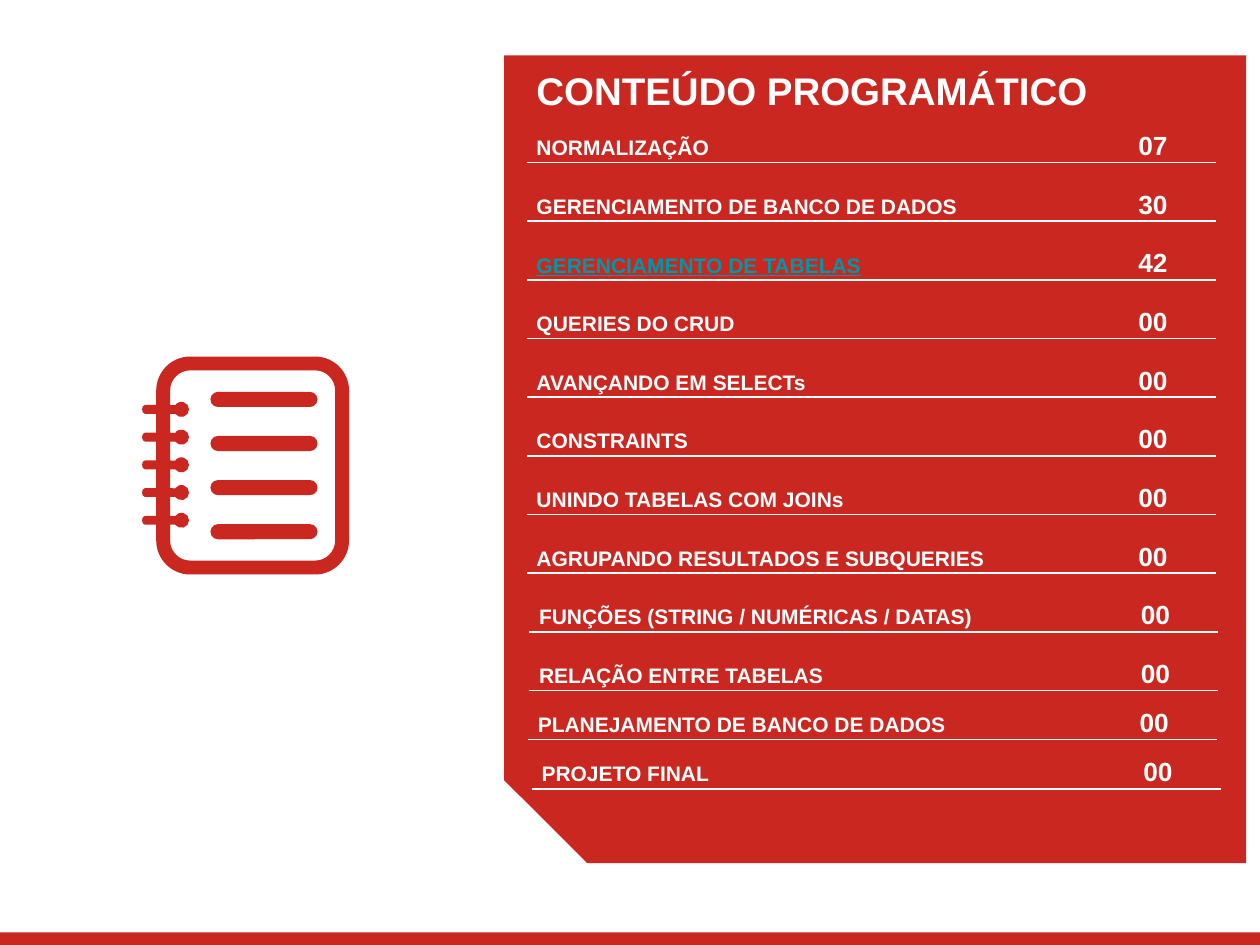
from math import cos, radians, sin, tan

from lxml import etree
from pptx import Presentation
from pptx.dml.color import RGBColor
from pptx.enum.shapes import MSO_CONNECTOR, MSO_SHAPE
from pptx.enum.text import MSO_ANCHOR, PP_ALIGN
from pptx.oxml.ns import qn
from pptx.util import Inches, Pt

RED = RGBColor(0xCA, 0x27, 0x21)
WHITE = RGBColor(0xFF, 0xFF, 0xFF)
TEAL = RGBColor(0x00, 0x97, 0xA7)

# Topic, page, sideways shift of the row
TOPICS = [
    ("NORMALIZAÇÃO", "07", 0),
    ("GERENCIAMENTO DE BANCO DE DADOS", "30", 0),
    ("GERENCIAMENTO DE TABELAS", "42", 0),
    ("QUERIES DO CRUD", "00", 0),
    ("AVANÇANDO EM SELECTs", "00", 0),
    ("CONSTRAINTS", "00", 0),
    ("UNINDO TABELAS COM JOINs", "00", 0),
    ("AGRUPANDO RESULTADOS E SUBQUERIES", "00", 0),
    ("FUNÇÕES (STRING / NUMÉRICAS / DATAS)", "00", 0.02),
    ("RELAÇÃO ENTRE TABELAS", "00", 0.02),
    ("PLANEJAMENTO DE BANCO DE DADOS", "00", 0.01),
    ("PROJETO FINAL", "00", 0.04),
]
LINKED_TOPIC = "GERENCIAMENTO DE TABELAS"
WIDE_ROWS = 10
WIDE_STEP = (5.48 - 1.29) / (WIDE_ROWS - 1)
TIGHT_STEP = 0.39


def paint(sp):
    sp.shadow.inherit = False
    sp.fill.solid()
    sp.fill.fore_color.rgb = RED
    sp.line.fill.background()


def add_block(parent, kind, x, y, w, h):
    sp = parent.shapes.add_shape(kind, Inches(x), Inches(y), Inches(w), Inches(h))
    paint(sp)
    return sp


def add_text(s, x, y, w, h, text, size, color=WHITE, underline=None,
             align=PP_ALIGN.LEFT, anchor=MSO_ANCHOR.TOP):
    tf = s.shapes.add_textbox(Inches(x), Inches(y), Inches(w), Inches(h)).text_frame
    tf.word_wrap = True
    tf.vertical_anchor = anchor
    p = tf.paragraphs[0]
    p.alignment = align
    r = p.add_run()
    r.text = text
    r.font.name = "Arial"
    r.font.size = Pt(size)
    r.font.bold = True
    r.font.underline = underline
    r.font.color.rgb = color


def add_rule(s, x, y, w):
    line = s.shapes.add_connector(
        MSO_CONNECTOR.STRAIGHT, Inches(x), Inches(y), Inches(x + w), Inches(y))
    line.line.color.rgb = WHITE
    line.line.width = Pt(1)
    etree.SubElement(line._element.spPr, qn("a:effectLst"))


def add_topic(s, x, y, topic, page):
    """One row of the list; y is its rule."""
    linked = topic == LINKED_TOPIC
    add_text(s, x - 0.02, y - 0.27, 4.84, 0.28, topic, 12,
             TEAL if linked else WHITE, linked or None)
    add_text(s, x + 4.73, y - 0.3, 0.48, 0.32, page, 15,
             align=PP_ALIGN.CENTER, anchor=MSO_ANCHOR.MIDDLE)
    add_rule(s, x, y, 5.47)


def add_contents(s, x, y, w, h):
    # Panel with its lower left corner cut
    panel = add_block(s, MSO_SHAPE.SNIP_1_RECTANGLE, x, y, w, h)
    panel.adjustments[0] = 0.112
    panel.rotation = 180
    add_text(s, x + 0.16, y + 0.04, 4.86, 0.86, "CONTEÚDO PROGRAMÁTICO", 22)
    # Topics
    row_y = y + 0.85
    for i, (topic, page, shift) in enumerate(TOPICS):
        if i:
            row_y += WIDE_STEP if i < WIDE_ROWS else TIGHT_STEP
        add_topic(s, x + 0.18 + shift, row_y, topic, page)


def straight(x, y):
    """A straight step, as the three points of a curve."""
    return [(x, y)] * 3


def arc(cx, cy, radius, start, end, pieces=1):
    """Curve points of an arc, three to a piece, without its first point."""
    turn = radians(end - start) / pieces
    k = 4 / 3 * tan(turn / 4)
    points = []
    for i in range(pieces):
        a = radians(start) + turn * i
        b = a + turn
        points += [(cx + radius * px, cy + radius * py) for px, py in (
            (cos(a) - k * sin(a), sin(a) + k * cos(a)),
            (cos(b) + k * sin(b), sin(b) - k * cos(b)),
            (cos(b), sin(b)))]
    return points


def rounded_outline(x, y, w, h, radius):
    """Clockwise from the left side, so that it ends at the lower left."""
    left, right = x + radius, x + w - radius
    top, bottom = y + radius, y + h - radius
    return [*straight(x, top), *arc(left, top, radius, 180, 270),
            *straight(right, y), *arc(right, top, radius, 270, 360),
            *straight(x + w, bottom), *arc(right, bottom, radius, 0, 90),
            *straight(left, y + h), *arc(left, bottom, radius, 90, 180)]


def add_curved_freeform(parent, outlines):
    builder = None
    for outline in outlines:
        start, *points = [(Inches(px), Inches(py)) for px, py in outline[2:]]
        if builder is None:
            builder = parent.shapes.build_freeform(*start)
        else:
            builder.move_to(*start)
        builder.add_line_segments(points, close=True)
    sp = builder.convert_to_shape()
    # Each three steps become one Bézier curve
    steps = list(sp._element.iter(qn("a:lnTo")))
    for first, second, third in zip(steps[::3], steps[1::3], steps[2::3]):
        curve = etree.Element(qn("a:cubicBezTo"))
        first.addprevious(curve)
        for step in (first, second, third):
            curve.append(step[0])
            step.getparent().remove(step)
    paint(sp)


def add_notebook(s, x, y, w, h):
    notebook = s.shapes.add_group_shape()
    # Cover frame, with the ring ends outside and inside its left edge
    edge, thick, half = x + 0.12, 0.11, 0.035
    inner = edge + thick
    outside = rounded_outline(edge, y, w - 0.12, h, 0.27)
    inside = rounded_outline(inner, y + thick, w - 0.12 - 2 * thick,
                             h - 2 * thick, 0.16)
    for i in reversed(range(5)):
        ring_y = y + 0.42 + 0.22 * i
        low, high = ring_y + half, ring_y - half
        outside += [*straight(edge, low), *straight(x + 0.03, low),
                    (x, low), (x, high), (x + 0.03, high),
                    *straight(edge, high)]
        inside += [*straight(inner, low), *straight(x + 0.27, low),
                   *arc(x + 0.32, ring_y, 0.06, 146, -146, 4),
                   *straight(inner, high)]
    add_curved_freeform(notebook, [outside, inside])
    # Written lines
    for i in range(4):
        bar = add_block(notebook, MSO_SHAPE.ROUNDED_RECTANGLE,
                        x + 0.55, y + 0.28 + 0.35 * i, 0.85, 0.12)
        bar.adjustments[0] = 0.5


def main():
    prs = Presentation()
    prs.slide_width, prs.slide_height = Inches(10), Inches(7.5)
    s = prs.slides.add_slide(prs.slide_layouts[6])
    # Footer band
    add_block(s, MSO_SHAPE.RECTANGLE, 0, 7.4, 10, 0.1)
    add_contents(s, 4, 0.44, 5.89, 6.41)
    add_notebook(s, 1.12, 2.83, 1.65, 1.73)
    prs.save("out.pptx")


if __name__ == "__main__":
    main()
